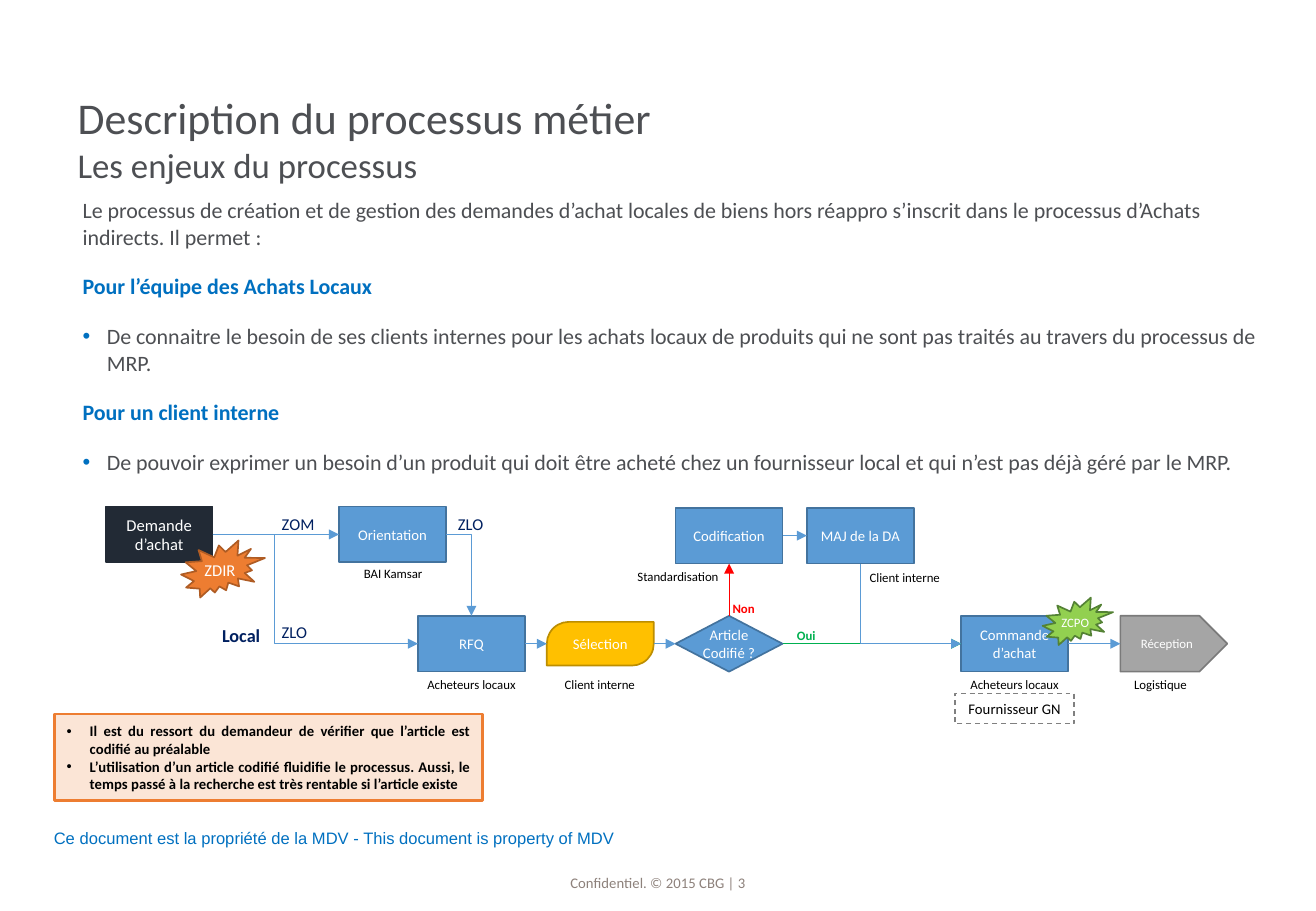
from lxml import etree
from pptx import Presentation
from pptx import util as u
from pptx.dml.color import RGBColor
from pptx.enum import dml, shapes, text
from pptx.oxml import ns

BLUE, BLUE_EDGE, GREY_TEXT, LINK_BLUE, NAVY = "5B9BD5", "43739E", "4D4F53", "0070C0", "002060"
WHITE, BLACK, RED, GREEN = "FFFFFF", "000000", "FF0000", "00B050"
BOX_W, BOX_H = 0.88, 0.46
TOP_ROW, CODE_ROW, LOW_ROW = 4.17, 4.18, 5.07
LOW_MIDDLE = LOW_ROW + BOX_H / 2
TOP, LEFT, BOTTOM, RIGHT = range(4)
ALIGN, ANCHOR, SHAPE = text.PP_ALIGN, text.MSO_ANCHOR, shapes.MSO_SHAPE
SIDE_FREE = (0, 0.05, 0, 0.05)


def color(value):
    return RGBColor.from_string(value)


def add_run(paragraph, words, size, ink, bold=False, font="Calibri"):
    run = paragraph.add_run()
    run.text = words
    run.font.size = u.Pt(size)
    run.font.name = font
    run.font.bold = bold
    run.font.color.rgb = color(ink)


def set_frame(shape, anchor=ANCHOR.TOP, insets=(0.1, 0.05, 0.1, 0.05), wrap=True):
    """Prepare the text frame; insets are left, top, right, bottom in inches."""
    frame = shape.text_frame
    frame.word_wrap = wrap
    frame.vertical_anchor = anchor
    frame.margin_left, frame.margin_top, frame.margin_right, frame.margin_bottom = map(u.Inches, insets)
    return frame


def add_bullet(paragraph, indent, ink):
    properties = paragraph._p.get_or_add_pPr()
    properties.set("marL", str(u.Inches(indent)))
    properties.set("indent", str(-u.Inches(indent)))
    bullet_color = etree.SubElement(properties, ns.qn("a:buClr"))
    etree.SubElement(bullet_color, ns.qn("a:srgbClr")).set("val", ink)
    etree.SubElement(properties, ns.qn("a:buFont")).set("typeface", "Arial")
    etree.SubElement(properties, ns.qn("a:buChar")).set("char", "•")


def add_textbox(slide, place, **frame_options):
    return set_frame(slide.shapes.add_textbox(*map(u.Inches, place)), **frame_options)


def add_label(slide, words, place, size=7.6, ink=BLACK, bold=False, align=ALIGN.CENTER,
              font="Calibri", **frame_options):
    paragraph = add_textbox(slide, place, **frame_options).paragraphs[0]
    paragraph.alignment = align
    add_run(paragraph, words, size, ink, bold, font)


def add_panel(slide, kind, place, fill, edge, width=1):
    """Add a shape without text; fill None leaves it empty."""
    shape = slide.shapes.add_shape(kind, *map(u.Inches, place))
    shape.shadow.inherit = False
    if fill:
        shape.fill.solid()
        shape.fill.fore_color.rgb = color(fill)
    else:
        shape.fill.background()
    shape.line.color.rgb = color(edge)
    shape.line.width = u.Pt(width)
    return shape


def add_step(slide, words, place, kind=SHAPE.RECTANGLE, fill=BLUE, edge=BLUE_EDGE, size=8.7,
             ink=WHITE, width=1, **frame_options):
    """Add a process shape; a place of two numbers takes the standard box size."""
    if len(place) == 2:
        place = (*place, BOX_W, BOX_H)
    shape = add_panel(slide, kind, place, fill, edge, width)
    paragraph = set_frame(shape, ANCHOR.MIDDLE, **frame_options).paragraphs[0]
    paragraph.alignment = ALIGN.CENTER
    add_run(paragraph, words, size, ink)
    return shape


def style_link(connector, ink, arrow="tailEnd"):
    connector.line.color.rgb = color(ink)
    connector.line.width = u.Pt(0.5)
    line = connector.line._get_or_add_ln()
    etree.SubElement(line, ns.qn(f"a:{arrow}")).set("type", "triangle")
    etree.SubElement(connector._element.spPr, ns.qn("a:effectLst"))


def add_link(slide, start, end, ink=BLUE):
    """Draw a straight arrow; each end is (shape, side) or a point (x, y)."""
    points = [end_pair if isinstance(end_pair[0], (int, float)) else (0, 0) for end_pair in (start, end)]
    connector = slide.shapes.add_connector(
        shapes.MSO_CONNECTOR.STRAIGHT, *(u.Inches(v) for point in points for v in point))
    if points[0] != start:
        connector.begin_connect(*start)
    if points[1] != end:
        connector.end_connect(*end)
    style_link(connector, ink)


def add_elbow(slide, start, end, turn=None, arrow="tailEnd"):
    """Draw a bent arrow: one corner, or two when turn gives the share of the width."""
    connector = slide.shapes.add_connector(
        shapes.MSO_CONNECTOR.ELBOW, *map(u.Inches, (*start, *end)))
    geometry = connector._element.spPr.find(ns.qn("a:prstGeom"))
    if turn is None:
        geometry.set("prst", "bentConnector2")
    else:
        guides = geometry.find(ns.qn("a:avLst"))
        if guides is None:
            guides = etree.SubElement(geometry, ns.qn("a:avLst"))
        guide = etree.SubElement(guides, ns.qn("a:gd"))
        guide.set("name", "adj1")
        guide.set("fmla", f"val {round(turn * 100000)}")
    style_link(connector, BLUE, arrow)


def add_heading(slide):
    paragraph = add_textbox(slide, (0.54, 0.7, 9.75, 1.25)).paragraphs[0]
    add_run(paragraph, "Description du processus métier", 26, GREY_TEXT)
    paragraph.add_line_break()
    add_run(paragraph, "Les enjeux du processus", 20.6, GREY_TEXT)


def add_body(slide):
    content = [
        ("plain", "Le processus de création et de gestion des demandes d’achat locales de biens hors "
                  "réappro s’inscrit dans le processus d’Achats indirects. Il permet :"),
        ("head", "Pour l’équipe des Achats Locaux"),
        ("bullet", "De connaitre le besoin de ses clients internes pour les achats locaux de produits "
                   "qui ne sont pas traités au travers du processus de MRP."),
        ("head", "Pour un client interne"),
        ("bullet", "De pouvoir exprimer un besoin d’un produit qui doit être acheté chez un fournisseur "
                   "local et qui n’est pas déjà géré par le MRP."),
    ]
    frame = add_textbox(slide, (0.68, 1.62, 9.77, 2.4), insets=(0, 0, 0, 0))
    for index, (kind, words) in enumerate(content):
        paragraph = frame.add_paragraph() if index else frame.paragraphs[0]
        if kind == "bullet":
            add_bullet(paragraph, 0.2, LINK_BLUE)
        paragraph.space_before = u.Pt(11.1 if index else 0)
        paragraph.space_after = u.Pt(2.8)
        is_head = kind == "head"
        add_run(paragraph, words, 13, LINK_BLUE if is_head else GREY_TEXT, is_head)


def add_process(slide):
    request = add_step(slide, "Demande d’achat", (0.87, TOP_ROW), fill="222A35", edge="222A35", size=9.8)
    orientation = add_step(slide, "Orientation", (2.79, TOP_ROW), insets=SIDE_FREE)
    quote = add_step(slide, "RFQ", (3.44, LOW_ROW))
    selection = add_step(slide, "Sélection", (4.5, 5.12, BOX_W, 0.36), SHAPE.ROUND_2_DIAG_RECTANGLE,
                         "FFC000", "BD8E00", insets=SIDE_FREE)
    selection.adjustments[0], selection.adjustments[1] = 0.5, 0
    coded = add_step(slide, "Article Codifié ?", (5.56, LOW_ROW), SHAPE.DIAMOND, insets=SIDE_FREE)
    coding = add_step(slide, "Codification", (5.56, CODE_ROW))
    update = add_step(slide, "MAJ de la DA", (6.64, CODE_ROW))
    order = add_step(slide, "Commande d’achat", (7.91, LOW_ROW))
    reception = add_step(slide, "Réception", (9.22, LOW_ROW), SHAPE.PENTAGON, "A5A5A5", "7A7A7A", 7.6)
    add_step(slide, "ZDIR", (1.49, 4.45, 0.69, 0.47), SHAPE.EXPLOSION2, "ED7D31", "AF5C24", 9.8,
             insets=SIDE_FREE)
    add_step(slide, "ZCPO", (8.58, 4.92, 0.58, 0.39), SHAPE.EXPLOSION2, "92D050", "548235", 7.6,
             insets=SIDE_FREE)
    supplier = add_step(slide, "Fournisseur GN", (7.86, 5.71, 0.98, 0.25), fill=None, edge="808080",
                        ink=BLACK, width=0.75)
    supplier.line.dash_style = dml.MSO_LINE.DASH

    add_link(slide, (coded, RIGHT), (order, LEFT), GREEN)
    add_link(slide, (coded, TOP), (coding, BOTTOM), RED)
    add_link(slide, (request, RIGHT), (orientation, LEFT))
    add_link(slide, (quote, RIGHT), (4.5, LOW_MIDDLE))
    add_link(slide, (5.38, LOW_MIDDLE), (coded, LEFT))
    add_link(slide, (coding, RIGHT), (update, LEFT))
    add_link(slide, (order, RIGHT), (reception, LEFT))
    add_elbow(slide, (1.75, 4.4), (3.44, LOW_MIDDLE), turn=0.3)
    add_elbow(slide, (3.67, 4.4), (3.88, LOW_ROW))
    add_elbow(slide, (7.91, LOW_MIDDLE), (7.08, 4.64), arrow="headEnd")


def add_process_labels(slide):
    for words, left, top, width in [
        ("BAI Kamsar", 2.69, 4.61, 1.09), ("Standardisation", 5.1, 4.63, 0.96),
        ("Client interne", 6.9, 4.64, 1.09), ("Acheteurs locaux", 3.38, 5.52, 1),
        ("Client interne", 4.39, 5.52, 1.09), ("Acheteurs locaux", 7.85, 5.52, 1),
        ("Logistique", 9.15, 5.52, 0.8),
    ]:
        add_label(slide, words, (left, top, width, 0.23))
    for words, left, top in [("ZOM", 2.22, 4.18), ("ZLO", 3.67, 4.18), ("ZLO", 2.22, 5.07)]:
        add_label(slide, words, (left, top, 0.48 if words == "ZOM" else 0.42, 0.27), 9.8, NAVY,
                  align=ALIGN.LEFT, wrap=False)
    add_label(slide, "Local", (1.33, 5.09, 0.91, 0.28), 10.8, NAVY, True, ALIGN.RIGHT)
    add_label(slide, "Non", (5.64, 4.9, 0.96, 0.23), ink=RED, bold=True)
    add_label(slide, "Oui", (6.37, 5.12, 0.53, 0.23), ink=GREEN, bold=True)


def add_advice(slide):
    panel = add_panel(slide, SHAPE.RECTANGLE, (0.45, 5.88, 3.52, 0.71), "FBE5D6", "ED7D31", 1.5)
    frame = set_frame(panel, ANCHOR.MIDDLE)
    for index, words in enumerate([
        "Il est du ressort du demandeur de vérifier que l’article est codifié au préalable",
        "L’utilisation d’un article codifié fluidifie le processus. Aussi, le temps passé à la "
        "recherche est très rentable si l’article existe",
    ]):
        paragraph = frame.add_paragraph() if index else frame.paragraphs[0]
        add_bullet(paragraph, 0.19, BLACK)
        paragraph.alignment = ALIGN.JUSTIFY
        add_run(paragraph, words, 8.7, BLACK, True)


def main():
    presentation = Presentation()
    presentation.slide_width, presentation.slide_height = u.Inches(10.83), u.Inches(7.5)
    slide = presentation.slides.add_slide(presentation.slide_layouts[6])
    add_label(slide, "Confidentiel. © 2015 CBG | 3", (3.68, 7.11, 3.47, 0.23), 8.7, "8D817B",
              anchor=ANCHOR.BOTTOM, insets=(0, 0, 0, 0))
    add_label(slide, "Ce document est la propriété de la MDV - This document is property of MDV",
              (0.34, 6.74, 4.82, 0.32), 9.8, LINK_BLUE, font="Arial", anchor=ANCHOR.MIDDLE)
    add_heading(slide)
    add_body(slide)
    add_process(slide)
    add_process_labels(slide)
    add_advice(slide)
    presentation.save("out.pptx")


if __name__ == "__main__":
    main()
